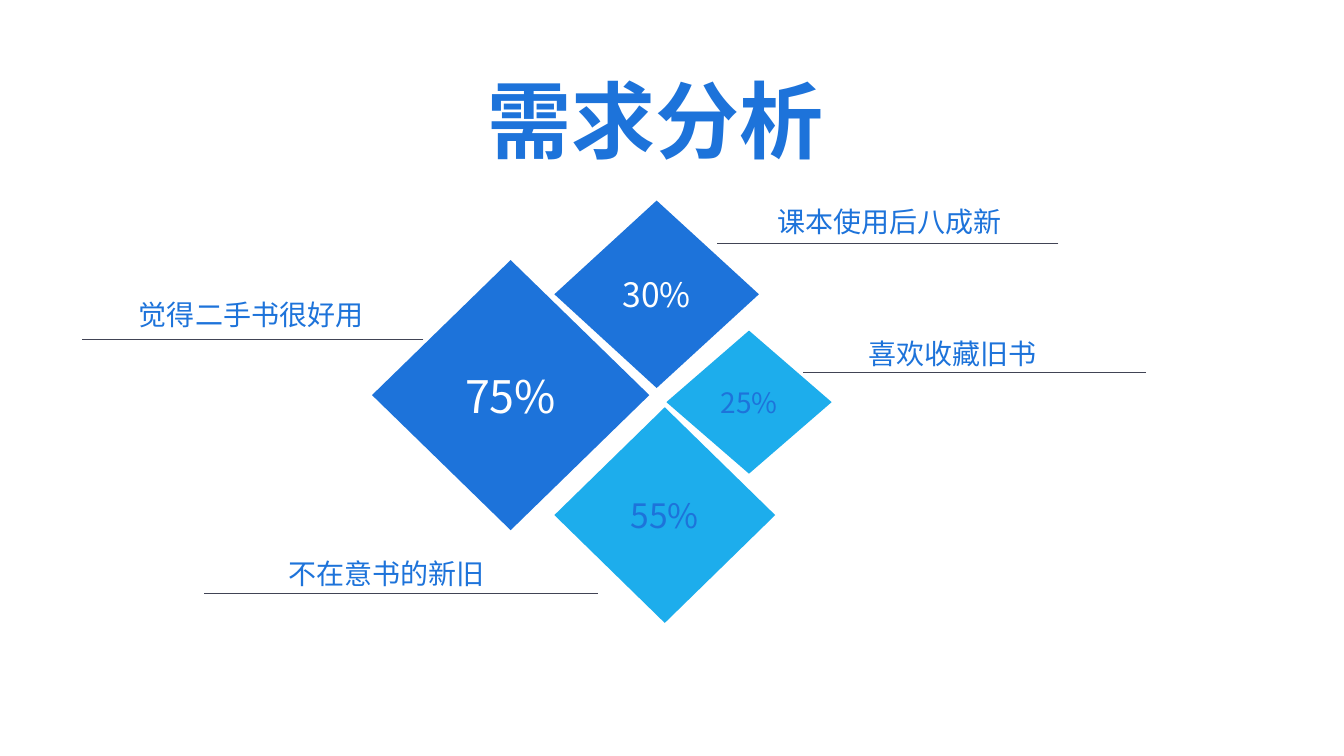
from lxml.etree import SubElement
from pptx import Presentation
from pptx.dml.color import RGBColor
from pptx.enum.shapes import MSO_CONNECTOR, MSO_SHAPE
from pptx.enum.text import MSO_ANCHOR, MSO_AUTO_SIZE as FIT, PP_ALIGN
from pptx.oxml.ns import qn
from pptx.util import Inches, Pt

BLUE = RGBColor(0x1D, 0x73, 0xDA)
SKY = RGBColor(0x1D, 0xAD, 0xEC)
WHITE = RGBColor(0xFF, 0xFF, 0xFF)
SLATE = RGBColor(0x41, 0x44, 0x55)
FONT = "Noto Sans CJK SC"

deck = Presentation()
deck.slide_width, deck.slide_height = Inches(13.333), Inches(7.5)
slide = deck.slides.add_slide(deck.slide_layouts[5])


def area(left, top, width, height):
    """Turn percentages of the slide into lengths."""
    column, row = deck.slide_width / 100, deck.slide_height / 100
    return (round(left * column), round(top * row),
            round(width * column), round(height * row))


def write(frame, text, size, color, align=PP_ALIGN.LEFT, spacing=1.0, bold=False):
    """Fill the frame with one paragraph, with the font set for Latin and Chinese."""
    frame.text = text
    paragraph = frame.paragraphs[0]
    paragraph.alignment, paragraph.line_spacing = align, spacing
    font = paragraph.font
    font.name, font.size, font.bold = FONT, Pt(size), bold
    font.color.rgb = color
    properties = paragraph._p.pPr.find(qn("a:defRPr"))
    SubElement(properties, qn("a:ea")).set("typeface", FONT)


title = slide.shapes.title
title.left, title.top, title.width, title.height = area(35.55, 5.73, 26.78, 16.8)
title.text_frame.auto_size = FIT.NONE
title.text_frame.word_wrap = False
title.text_frame.vertical_anchor = MSO_ANCHOR.TOP
write(title.text_frame, "需求分析", 60, BLUE, spacing=1.2, bold=True)

# Share, font size, fill, text colour, place in percent of the slide
diamonds = [
    ("30%", 24, BLUE, WHITE, (41.25, 26.53, 15.22, 24.8)),
    ("55%", 24, SKY, BLUE, (41.25, 53.87, 16.43, 28.53)),
    ("75%", 32, BLUE, WHITE, (27.68, 34.4, 20.63, 35.73)),
    ("25%", 20, SKY, BLUE, (49.58, 43.73, 12.3, 18.93)),
]
for share, size, fill, color, place in diamonds:
    diamond = slide.shapes.add_shape(MSO_SHAPE.FLOWCHART_DECISION, *area(*place))
    diamond.shadow.inherit = False
    diamond.fill.solid()
    diamond.fill.fore_color.rgb = fill
    diamond.line.fill.background()
    diamond.text_frame.vertical_anchor = MSO_ANCHOR.MIDDLE
    write(diamond.text_frame, share, size, color, PP_ALIGN.CENTER)

# Reason, line spacing, text place, then right end, left end and height of its rule
reasons = [
    ("课本使用后八成新", 1.2, (57.08, 25.47, 39.68, 10), (78.75, 53.33, 32.13)),
    ("喜欢收藏旧书", 1.2, (63.9, 42.93, 36.1, 6.27), (85.28, 59.78, 49.2)),
    ("觉得二手书很好用", 1.5, (9.6, 36.53, 39.83, 7.33), (31.5, 6.08, 44.93)),
    ("不在意书的新旧", 1.2, (20.7, 72.13, 39.15, 6.27), (44.48, 15.15, 78.4)),
]
for reason, spacing, place, (right, left, height) in reasons:
    label = slide.shapes.add_textbox(*area(*place)).text_frame
    label.word_wrap = True
    label.auto_size = FIT.SHAPE_TO_FIT_TEXT
    write(label, reason, 20, BLUE, spacing=spacing)

    rule = slide.shapes.add_connector(
        MSO_CONNECTOR.STRAIGHT, *area(right, height, left, height))
    rule.line.color.rgb = SLATE
    rule.line.width = Pt(0.25)
    SubElement(rule._element.spPr, qn("a:effectLst"))

deck.save("out.pptx")
